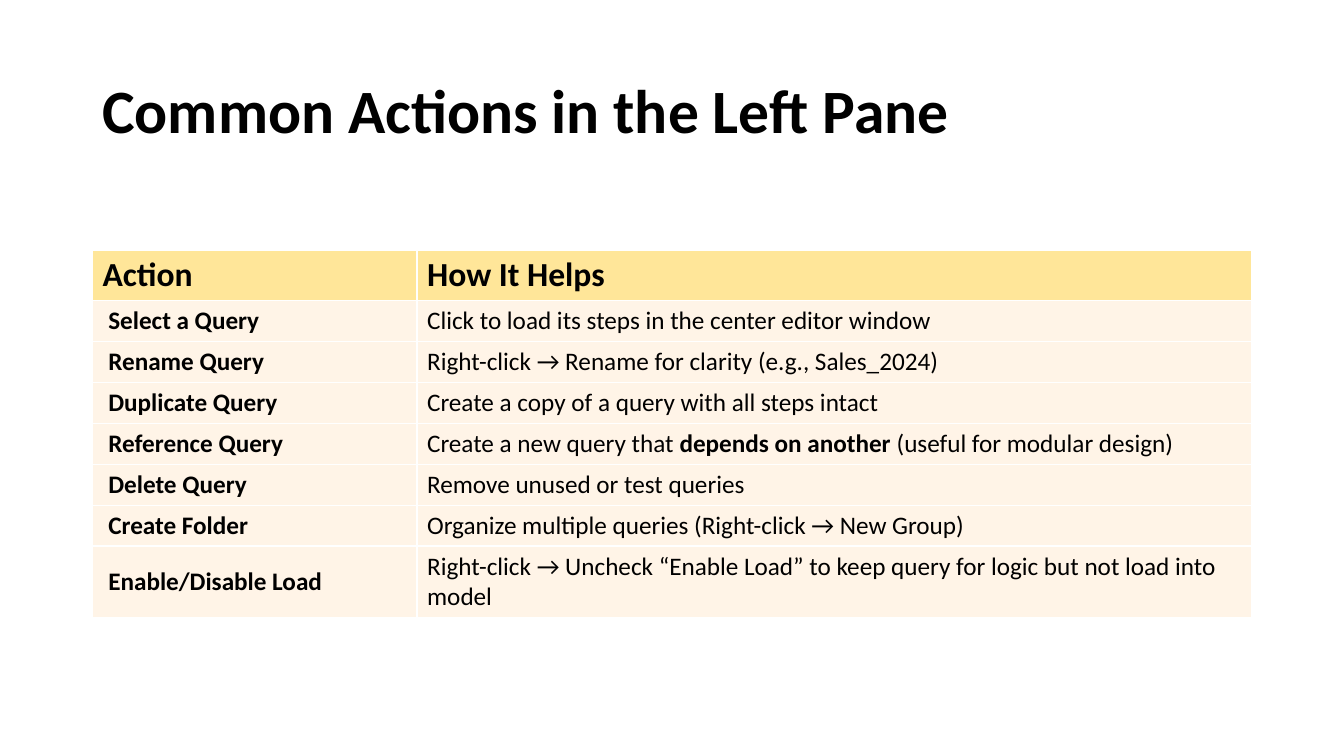
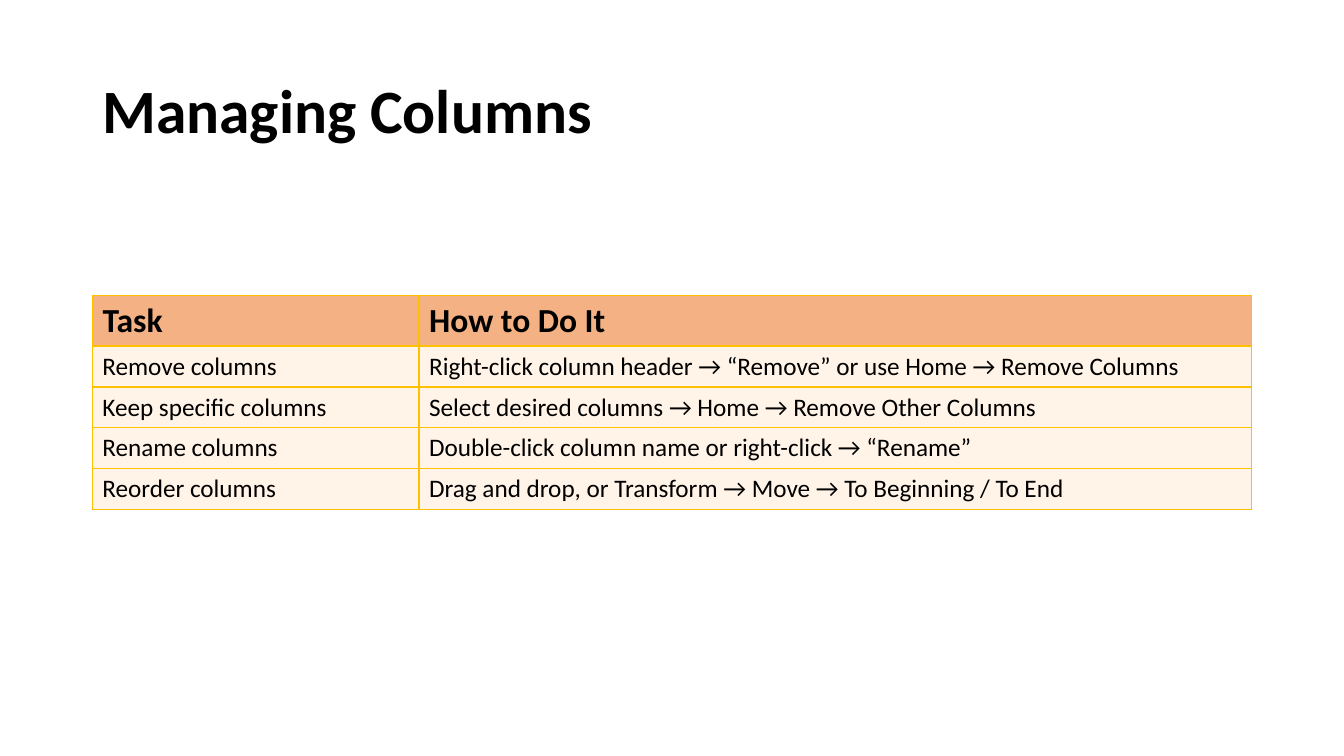
"""Build two slides that each explain query editor tasks in a table."""
from lxml import etree
from pptx import Presentation
from pptx import util as u
from pptx.dml.color import RGBColor
from pptx.enum import text
from pptx.oxml import ns

FONT = "Calibri"
INK = "000000"
BODY_FILL = "FFF4E7"
LEFT, WIDTH = 2.33, 29.21
HEADER_HEIGHT, LINE_HEIGHT, TWO_LINE_HEIGHT = 1.28, 1.03, 1.79

SLIDES = [
    {
        "title": "Common Actions in the Left Pane",
        "top": 6.3, "first_column": 8.18, "indent": 0.4,
        "header_fill": "FFE699", "border": "FFFFFF", "two_line_rows": [7],
        "rows": [
            ("**Action**", "**How It Helps**"),
            ("**Select a Query**", "Click to load its steps in the center editor window"),
            ("**Rename Query**", "Right-click → Rename for clarity (e.g., Sales_2024)"),
            ("**Duplicate Query**", "Create a copy of a query with all steps intact"),
            ("**Reference Query**",
             "Create a new query that **depends on another** (useful for modular design)"),
            ("**Delete Query**", "Remove unused or test queries"),
            ("**Create Folder**", "Organize multiple queries (Right-click → New Group)"),
            ("**Enable/Disable Load**",
             "Right-click → Uncheck “Enable Load” to keep query for logic but not load into model"),
        ],
    },
    {
        "title": "Managing Columns",
        "top": 7.44, "first_column": 8.23, "indent": 0.25,
        "header_fill": "F4B183", "border": "FFC000", "two_line_rows": [],
        "rows": [
            ("**Task**", "**How to Do It**"),
            ("Remove columns",
             "Right-click column header → “Remove” or use Home → Remove Columns"),
            ("Keep specific columns", "Select desired columns → Home → Remove Other Columns"),
            ("Rename columns", "Double-click column name or right-click → “Rename”"),
            ("Reorder columns", "Drag and drop, or Transform → Move → To Beginning / To End"),
        ],
    },
]


def add_runs(paragraph, marked, size):
    """Add runs to a paragraph, with the parts between ** in bold."""
    for position, part in enumerate(marked.split("**")):
        if part:
            run = paragraph.add_run()
            run.text = part
            run.font.name = FONT
            run.font.size = u.Pt(size)
            run.font.bold = position % 2 == 1
            run.font.color.rgb = RGBColor.from_string(INK)


def style_cell(cell, fill, border):
    """Give a cell its four borders and its fill."""
    properties = cell._tc.get_or_add_tcPr()
    for side in ("a:lnL", "a:lnR", "a:lnT", "a:lnB"):
        line = etree.SubElement(properties, ns.qn(side), w=str(u.Pt(1)))
        solid = etree.SubElement(line, ns.qn("a:solidFill"))
        etree.SubElement(solid, ns.qn("a:srgbClr"), val=border)
    cell.fill.solid()
    cell.fill.fore_color.rgb = RGBColor.from_string(fill)


deck = Presentation()
deck.slide_width, deck.slide_height = u.Cm(33.87), u.Cm(19.05)

for content in SLIDES:
    slide = deck.slides.add_slide(deck.slide_layouts[6])

    title = slide.shapes.add_textbox(u.Cm(LEFT), u.Cm(1.01), u.Cm(WIDTH), u.Cm(3.68)).text_frame
    title.word_wrap = True
    title.vertical_anchor = text.MSO_ANCHOR.MIDDLE
    title.paragraphs[0].line_spacing = 0.9
    add_runs(title.paragraphs[0], f"**{content['title']}**", 44)

    rows = content["rows"]
    heights = [HEADER_HEIGHT] + [LINE_HEIGHT] * (len(rows) - 1)
    for number in content["two_line_rows"]:
        heights[number] = TWO_LINE_HEIGHT

    tasks = slide.shapes.add_table(
        len(rows), 2, u.Cm(LEFT), u.Cm(content["top"]), u.Cm(WIDTH), u.Cm(sum(heights))).table
    tasks.horz_banding = False
    tasks.columns[0].width = u.Cm(content["first_column"])
    tasks.columns[1].width = u.Cm(WIDTH - content["first_column"])

    for row, (entries, height) in enumerate(zip(rows, heights)):
        tasks.rows[row].height = u.Cm(height)
        is_header = row == 0
        for column, entry in enumerate(entries):
            cell = tasks.cell(row, column)
            style_cell(cell, content["header_fill"] if is_header else BODY_FILL, content["border"])
            cell.vertical_anchor = text.MSO_ANCHOR.MIDDLE
            if column == 0 and not is_header:
                cell.margin_left = u.Cm(content["indent"])
            add_runs(cell.text_frame.paragraphs[0], entry, 24 if is_header else 18)

deck.save("out.pptx")
